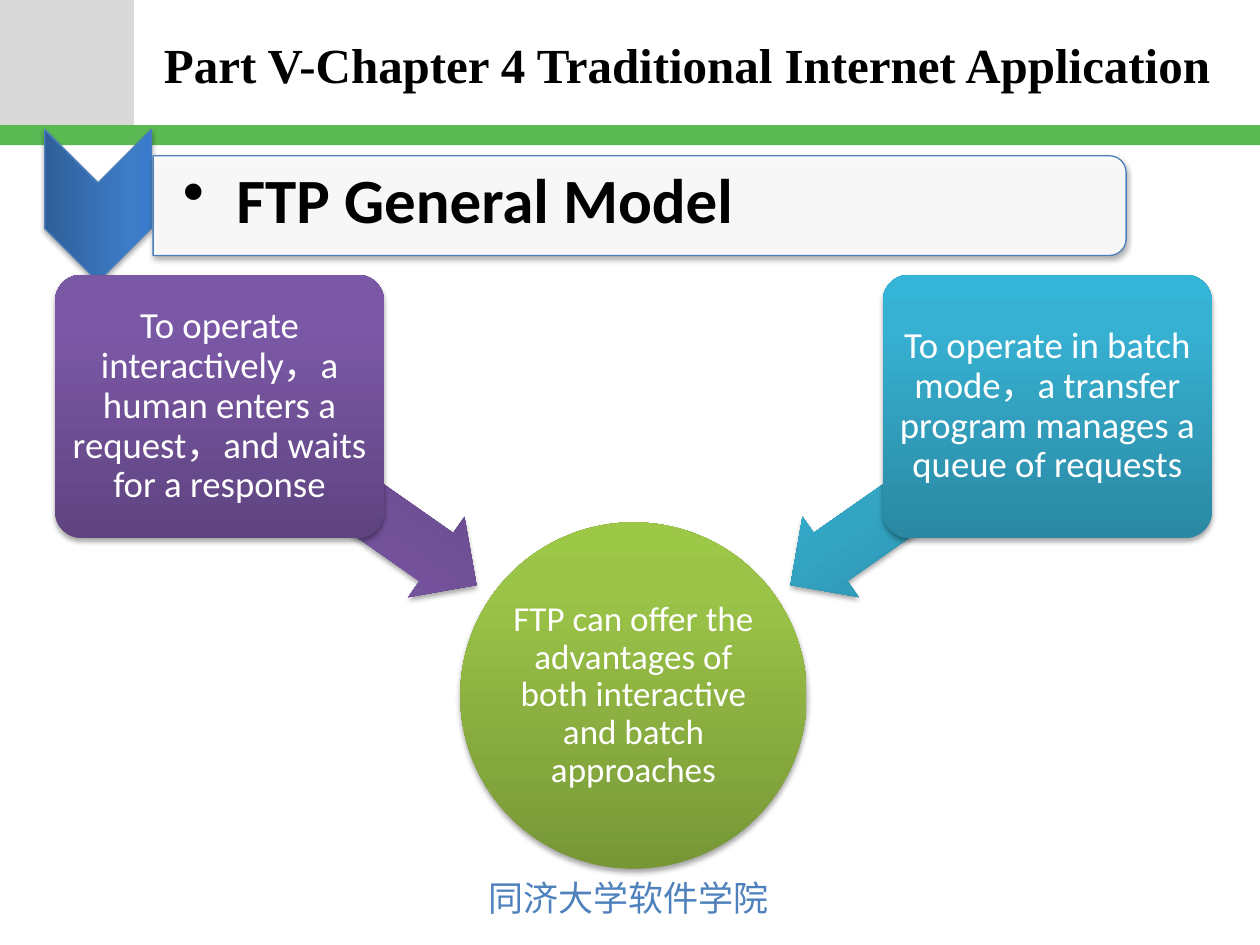
from copy import deepcopy

from lxml import etree
from pptx import Presentation
from pptx.dml.color import RGBColor
from pptx.enum import shapes as sh, text as tx
from pptx.oxml import ns
from pptx.util import Pt

COLORS = {
    "black": "000000", "white": "FFFFFF", "grey": "D9D9D9", "green": "5AB953",
    "edge": "4B7EBC", "school": "4F81BD",
}
# gradient stops at 0, 80 and 100 percent, from bottom to top
GRADS = {
    "blue": ("2F5F99", "3D7CC7", "3A7CCB"),
    "lime": ("779737", "9BC348", "9DC746"),
    "purple": ("5F4480", "7B58A6", "7C57A8"),
    "teal": ("2A88A2", "37B1D2", "34B4D6"),
}
KIND = sh.MSO_SHAPE
LEFT, MID = tx.PP_ALIGN.LEFT, tx.PP_ALIGN.CENTER
SANS, SERIF, CJK = "Calibri", "Times New Roman", "Noto Sans CJK JP"


def rgb(name):
    return RGBColor.from_string(COLORS.get(name, name))


def add_sub(node, tag, **attrs):
    return etree.SubElement(node, ns.qn(tag), attrs)


def set_grad(shape, stops):
    fill = shape.fill
    fill.gradient()
    fill.gradient_angle = 90
    last = shape.element.spPr.findall(".//" + ns.qn("a:gs"))[-1]
    last.addnext(deepcopy(last))
    for stop, place, color in zip(fill.gradient_stops, (0, 0.8, 1), stops):
        stop.position = place
        stop.color.rgb = rgb(color)


def set_shadow(shape):
    shape.shadow.inherit = False
    effects = shape.element.spPr.find(ns.qn("a:effectLst"))
    outer = add_sub(effects, "a:outerShdw", blurRad=str(Pt(3.1)),
                    dist=str(Pt(1.8)), dir="5400000", rotWithShape="0")
    color = add_sub(outer, "a:srgbClr", val=COLORS["black"])
    add_sub(color, "a:alpha", val="35000")


def add_form(slide, kind, box, fill, edge=None, turn=0, adj=(), shade=True):
    """Add a preset shape; fill is a key of GRADS or COLORS."""
    shape = slide.shapes.add_shape(kind, *map(Pt, box))
    shape.rotation = turn
    for i, value in enumerate(adj):
        shape.adjustments[i] = value
    if fill in GRADS:
        set_grad(shape, GRADS[fill])
    else:
        shape.fill.solid()
        shape.fill.fore_color.rgb = rgb(fill)
    if edge:
        shape.line.color.rgb = rgb(edge)
        shape.line.width = Pt(0.75)
    else:
        shape.line.fill.background()
    if shade:
        set_shadow(shape)
    else:
        shape.shadow.inherit = False
    return shape


def set_text(shape, words, color, font, pad=(3, 3, 3, 3), wrap=True,
             align=MID, space=0.9, bullet=0):
    """Write one paragraph; bullet is its hanging indent in points."""
    frame = shape.text_frame
    frame.word_wrap = wrap
    frame.vertical_anchor = tx.MSO_ANCHOR.MIDDLE
    for side, value in zip(("left", "top", "right", "bottom"), pad):
        setattr(frame, "margin_" + side, Pt(value))
    para = frame.paragraphs[0]
    para.alignment, para.line_spacing = align, space
    if bullet:
        props = para._p.get_or_add_pPr()
        props.set("marL", str(Pt(bullet)))
        props.set("indent", str(-Pt(bullet)))
        add_sub(props, "a:buChar", char="•")
    run = para.add_run()
    run.text = words
    for key, value in font.items():
        setattr(run.font, key, value)
    run.font.color.rgb = rgb(color)
    if font["name"] == CJK:
        add_sub(run._r.get_or_add_rPr(), "a:ea", typeface=CJK)


def add_label(slide, box, *args, **opts):
    set_text(slide.shapes.add_textbox(*map(Pt, box)), *args, **opts)


def add_frame(slide):
    add_form(slide, KIND.RECTANGLE, (0, 0, 76.5, 71.5), "grey", shade=False)
    add_form(slide, KIND.RECTANGLE, (0, 71.5, 720, 11.5), "green", shade=False)
    add_label(slide, (272, 497, 176, 31.5), "同济大学软件学院", "school",
              {"name": CJK, "size": Pt(20)}, pad=(7.2, 3.6, 7.2, 3.6),
              wrap=False, align=LEFT, space=1)


def add_title(slide, words):
    title = slide.shapes.title
    spots = zip(("left", "top", "width", "height"), (86.5, 1.5, 619, 70.5))
    for key, value in spots:
        setattr(title, key, Pt(value))
    set_text(title, words, "black",
             {"name": SERIF, "size": Pt(28), "bold": True},
             pad=(7.2, 3.6, 7.2, 3.6), align=LEFT, space=1)


def add_banner(slide, words):
    add_form(slide, KIND.CHEVRON, (12.5, 87, 87, 61), "blue", "edge", turn=90)
    bar = add_form(slide, KIND.ROUND_2_SAME_RECTANGLE,
                   (337, -160.5, 57, 556), "white", "edge", turn=90)
    color = bar.element.spPr.find(ns.qn("a:solidFill"))[0]
    add_sub(color, "a:alpha", val="90000")
    add_label(slide, (86.5, 90.5, 553, 51), words, "black",
              {"name": SANS, "size": Pt(36), "bold": True},
              pad=(18, 1.5, 1.5, 1.5), align=LEFT, bullet=30.5)


def add_mode(slide, words, color, left, tail, turn):
    """Add a card and, behind it, its arrow to the circle."""
    add_form(slide, KIND.LEFT_ARROW, (tail, 255, 179, 56), color,
             turn=turn, adj=(0.6, 0.5))
    card = add_form(slide, KIND.ROUNDED_RECTANGLE, (left, 157, 188, 150.5),
                    color, adj=(0.1,))
    set_text(card, words, "white", {"name": SANS, "size": Pt(21)})


def main():
    deck = Presentation()
    deck.slide_width, deck.slide_height = Pt(720), Pt(540)
    slide = deck.slides.add_slide(deck.slide_layouts[5])
    add_frame(slide)
    add_title(slide, "Part V-Chapter 4 Traditional Internet Application")
    add_banner(slide, "FTP General Model")
    hub = add_form(slide, KIND.OVAL, (263, 298.5, 198, 198), "lime")
    set_text(hub, "FTP can offer the advantages of both interactive "
             "and batch approaches", "white",
             {"name": SANS, "size": Pt(20)}, pad=(1, 1, 1, 1))
    add_mode(slide, "To operate interactively，a human enters a request，"
             "and waits for a response", "purple", 31.5, 109.5, 215)
    add_mode(slide, "To operate in batch mode，a transfer program manages "
             "a queue of requests", "teal", 504.5, 435.5, 325)
    deck.save("out.pptx")


if __name__ == "__main__":
    main()
